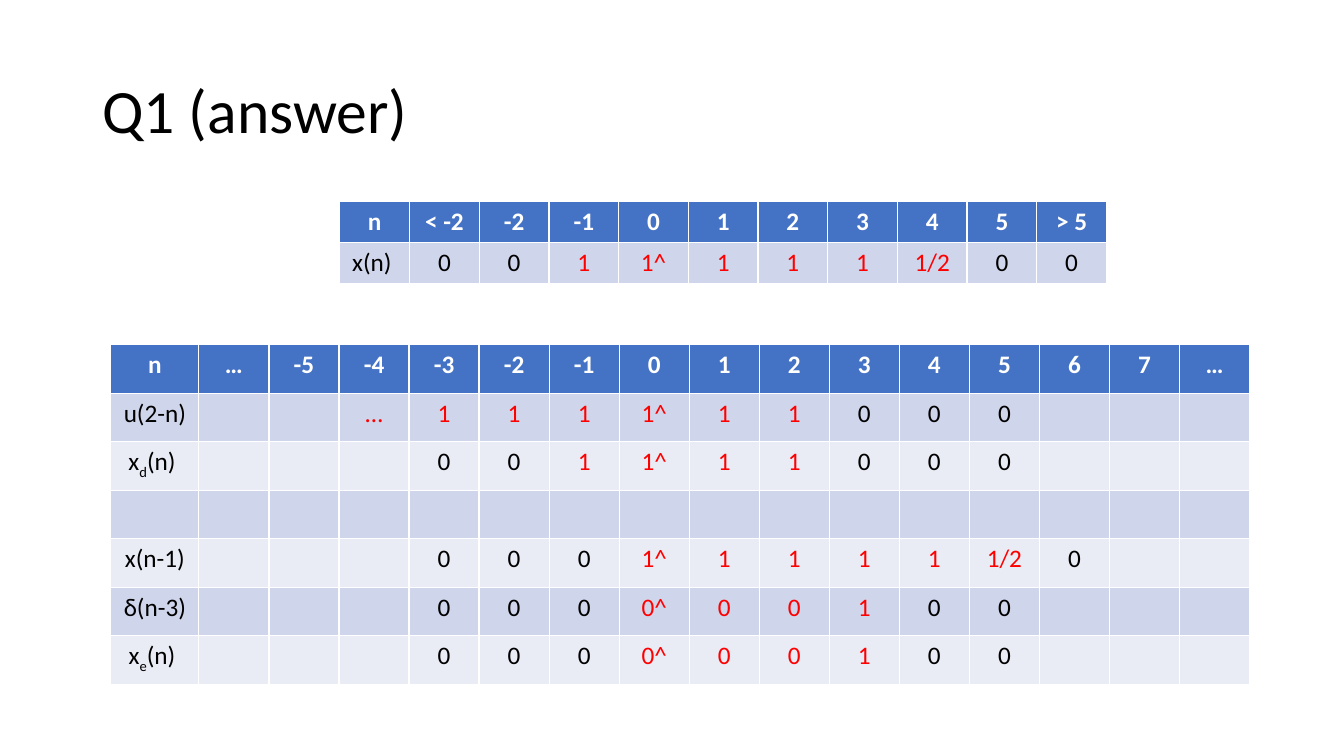
from dataclasses import dataclass

import pptx
import pptx.dml.color
import pptx.enum.text
import pptx.util

Pt = pptx.util.Pt
ALIGN = pptx.enum.text.PP_ALIGN

COLORS = {
    "black": "000000",
    "white": "FFFFFF",
    "red": "FF0000",
    "header": "4472C4",
    "band_dark": "CFD5EA",
    "band_light": "E9EBF5",
}
FONT = "Calibri"


@dataclass
class SignalRow:
    """Values fill the columns from first; those in the red range are red."""
    label: str = ""
    values: str = ""
    first: int = 1
    red: range = range(0)
    subscript: str = ""
    suffix: str = ""


@dataclass
class SignalTable:
    left: float
    top: float
    label_width: float
    column_width: float
    row_height: float
    header: list[str]
    rows: list[SignalRow]


TABLES = [
    # Input signal
    SignalTable(242.8, 144, 49.8, 49.8, 29.2,
                ["n", "< -2", *map(str, range(-2, 6)), "> 5"],
                [SignalRow("x(n) ", "0 0 1 1^ 1 1 1 1/2 0 0", 1, range(3, 9))]),
    # Shifted signals and their products
    SignalTable(79.2, 246.2, 62.9, 50.05, 34.67,
                ["n", "…", *map(str, range(-5, 8)), "…"],
                [SignalRow("u(2-n)", "… 1 1 1 1^ 1 1 0 0 0", 3, range(3, 10)),
                 SignalRow("x", "0 0 1 1^ 1 1 0 0 0", 4, range(6, 10), "d", "(n) "),
                 SignalRow(),
                 SignalRow("x(n-1)", "0 0 0 1^ 1 1 1 1 1/2 0", 4, range(7, 13)),
                 SignalRow("δ(n-3)", "0 0 0 0^ 0 0 1 0 0", 4, range(7, 11)),
                 SignalRow("x", "0 0 0 0^ 0 0 1 0 0", 4, range(7, 11), "e", "(n) ")]),
]


def rgb(name: str) -> pptx.dml.color.RGBColor:
    return pptx.dml.color.RGBColor.from_string(COLORS[name])


def add_text(paragraph, text: str, *, size: float = 18, color: str = "black",
             bold: bool = False, align=ALIGN.CENTER, subscript: bool = False) -> None:
    paragraph.alignment = align
    run = paragraph.add_run()
    run.text = text
    run.font.name = FONT
    run.font.size = Pt(size)
    run.font.bold = bold
    run.font.color.rgb = rgb(color)
    if subscript:
        run.font._element.set("baseline", "-25000")


def fill_cell(cell, color: str) -> None:
    cell.fill.solid()
    cell.fill.fore_color.rgb = rgb(color)


def add_signal_table(slide, signal: SignalTable) -> None:
    row_count, column_count = len(signal.rows) + 1, len(signal.header)
    width = signal.label_width + (column_count - 1) * signal.column_width
    table = slide.shapes.add_table(
        row_count, column_count, Pt(signal.left), Pt(signal.top),
        Pt(width), Pt(row_count * signal.row_height)).table
    for index, column in enumerate(table.columns):
        column.width = Pt(signal.column_width if index else signal.label_width)
    for row in table.rows:
        row.height = Pt(signal.row_height)

    # Header row
    for index, heading in enumerate(signal.header):
        cell = table.cell(0, index)
        fill_cell(cell, "header")
        add_text(cell.text_frame.paragraphs[0], heading, color="white", bold=True)

    # Signal rows with alternating bands
    for row_index, row in enumerate(signal.rows, start=1):
        for column_index in range(column_count):
            fill_cell(table.cell(row_index, column_index),
                      "band_dark" if row_index % 2 else "band_light")
        if not row.label:
            continue
        label = table.cell(row_index, 0).text_frame.paragraphs[0]
        add_text(label, row.label)
        if row.subscript:
            add_text(label, row.subscript, subscript=True)
            add_text(label, row.suffix)
        for column_index, value in enumerate(row.values.split(), start=row.first):
            add_text(table.cell(row_index, column_index).text_frame.paragraphs[0], value,
                     color="red" if column_index in row.red else "black")


def add_title(slide, text: str) -> None:
    title = slide.shapes.title
    title.left, title.top, title.width, title.height = Pt(66), Pt(28.75), Pt(828), Pt(104.4)
    title.text_frame.vertical_anchor = pptx.enum.text.MSO_ANCHOR.MIDDLE
    paragraph = title.text_frame.paragraphs[0]
    paragraph.line_spacing = 0.9
    add_text(paragraph, text, size=44, align=ALIGN.LEFT)


def main() -> None:
    presentation = pptx.Presentation()
    presentation.slide_width, presentation.slide_height = Pt(960), Pt(540)
    slide = presentation.slides.add_slide(presentation.slide_layouts.get_by_name("Title Only"))
    add_title(slide, "Q1 (answer)")
    for signal in TABLES:
        add_signal_table(slide, signal)
    presentation.save("out.pptx")


if __name__ == "__main__":
    main()
